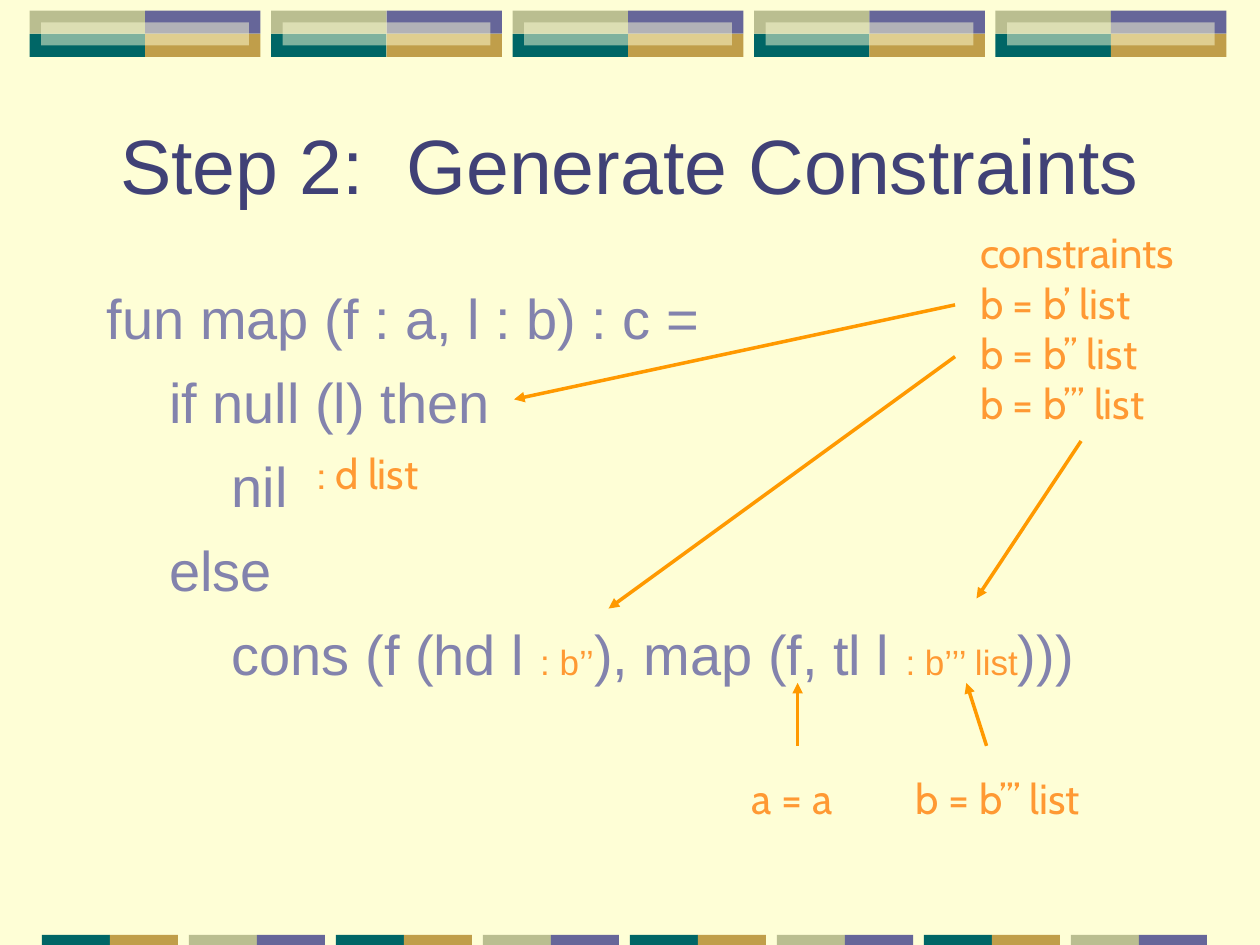
from lxml import etree
from pptx import Presentation
from pptx import util as u
from pptx.dml.color import RGBColor
from pptx.enum import shapes, text
from pptx.oxml.ns import qn

THEME = {
    "paper": "FEFED6", "violet": "666699", "gold": "C09E4A",
    "teal": "006666", "sage": "BABE90",
    "title": {"name": "Arial", "size": 44, "color": "404176"},
    "code": {"name": "Arial", "size": 32, "color": "8383AD"},
    "type": {"name": "Arial", "size": 20, "color": "FF9933"},
    "note": {"name": "Cabin", "size": 24, "color": "FF9933"},
    "arrow": "FF9900", "arrow_width": 2,
}
WIDTH, HEIGHT = 10, 7.5

# Content: each code line is (indent level, [(style, words), ...])
TITLE = "Step 2:  Generate Constraints"
CODE = [
    (0, [("code", "fun map (f : a, l : b) : c =")]),
    (1, [("code", "if null (l) then")]),
    (2, [("code", "nil")]),
    (1, [("code", "else")]),
    (2, [("code", "cons (f (hd l "), ("type", ": b’’"),
         ("code", "), map (f, tl l "), ("type", ": b’’’ list"),
         ("code", ")))")]),
]
NOTES = [  # (left, top, width, height), lines
    ((2.42, 3.5, 1.12, 0.5), [": d list"]),
    ((7.68, 1.75, 1.94, 1.7),
     ["constraints", "b = b’ list", "b = b’’ list", "b = b’’’ list"]),
    ((7.17, 6.08, 1.69, 0.5), ["b = b’’’ list"]),
    ((5.87, 6.08, 0.94, 0.5), ["a = a"]),
]
ARROWS = [  # start, end
    ((7.58, 2.42), (4.08, 3.17)),
    ((7.58, 2.83), (4.83, 4.83)),
    ((8.58, 3.5), (7.75, 4.75)),
    ((6.33, 5.92), (6.33, 5.42)),
    ((7.83, 5.92), (7.67, 5.42)),
]

# Grids of the ornamental bands
TOP = {"count": 5, "left": 0.235, "top": 0.085, "pitch": 1.9165,
       "cell": (0.9165, 0.1835), "inset": (0.0925, 0.0925)}
BOTTOM = {"count": 8, "left": 0.333, "top": 7.42, "pitch": 1.1667,
          "cell": (0.54, 0.08)}
TOP_CELLS = [("sage", 0, 0), ("violet", 1, 0), ("teal", 0, 1), ("gold", 1, 1)]
BOTTOM_PAIRS = [("teal", "gold"), ("sage", "violet")]
INDENT, LINE_GAP = 0.495, 9.6


def rgb(value):
    return RGBColor.from_string(value)


def add_block(page, frame, color, opacity=None):
    block = page.shapes.add_shape(shapes.MSO_SHAPE.RECTANGLE,
                                  *map(u.Inches, frame))
    block.shadow.inherit = False
    block.fill.solid()
    block.fill.fore_color.rgb = rgb(THEME[color])
    block.line.fill.background()
    if opacity:
        tint = block.fill._xPr.find(".//" + qn("a:srgbClr"))
        etree.SubElement(tint, qn("a:alpha"), val=str(opacity * 1000))


def add_words(page, frame, lines, gap=0, **box_format):
    box = page.shapes.add_textbox(*map(u.Inches, frame))
    for key, value in {"word_wrap": True, **box_format}.items():
        setattr(box.text_frame, key, value)
    for number, (level, spans) in enumerate(lines):
        para = (box.text_frame.add_paragraph() if number
                else box.text_frame.paragraphs[0])
        para.space_before = u.Pt(gap if number else 0)
        if level:
            para._p.get_or_add_pPr().set("marL", str(u.Inches(level * INDENT)))
        for style, words in spans:
            span = para.add_run()
            span.text = words
            look = THEME[style]
            for key, value in {"name": look["name"],
                               "size": u.Pt(look["size"])}.items():
                setattr(span.font, key, value)
            span.font.color.rgb = rgb(look["color"])
    return box


def add_arrow(page, start, end):
    arrow = page.shapes.add_connector(shapes.MSO_CONNECTOR.STRAIGHT,
                                      *map(u.Inches, start + end))
    arrow.line.color.rgb = rgb(THEME["arrow"])
    arrow.line.width = u.Pt(THEME["arrow_width"])
    etree.SubElement(arrow.line._get_or_add_ln(), qn("a:tailEnd"),
                     type="triangle")
    etree.SubElement(arrow._element.spPr, qn("a:effectLst"))


def add_bands(page):
    # Top band: four coloured cells under a translucent strip
    wide, high = TOP["cell"]
    inset_x, inset_y = TOP["inset"]
    for index in range(TOP["count"]):
        left = TOP["left"] + index * TOP["pitch"]
        for color, column, row in TOP_CELLS:
            add_block(page, (left + column * wide, TOP["top"] + row * high,
                             wide, high), color)
        add_block(page, (left + inset_x, TOP["top"] + inset_y,
                         2 * (wide - inset_x), high), "paper", 50)
    # Bottom band: alternating colour pairs
    wide, high = BOTTOM["cell"]
    for index in range(BOTTOM["count"]):
        left = BOTTOM["left"] + index * BOTTOM["pitch"]
        for column, color in enumerate(BOTTOM_PAIRS[index % 2]):
            add_block(page, (left + column * wide, BOTTOM["top"], wide, high),
                      color)


def main():
    deck = Presentation()
    deck.slide_width, deck.slide_height = u.Inches(WIDTH), u.Inches(HEIGHT)
    page = deck.slides.add_slide(deck.slide_layouts[6])
    page.background.fill.solid()
    page.background.fill.fore_color.rgb = rgb(THEME["paper"])
    add_bands(page)

    # Title and code
    title = add_words(page, (0, 0.67, WIDTH, 1.25), [(0, [("title", TITLE)])],
                      vertical_anchor=text.MSO_ANCHOR.MIDDLE)
    title.text_frame.paragraphs[0].alignment = text.PP_ALIGN.CENTER
    add_words(page, (0.75, 2.2, 9, 4.5), CODE, LINE_GAP)

    # Constraint notes and their arrows
    for frame, lines in NOTES:
        add_words(page, frame, [(0, [("note", line)]) for line in lines])
    for start, end in ARROWS:
        add_arrow(page, start, end)
    deck.save("out.pptx")


if __name__ == "__main__":
    main()
